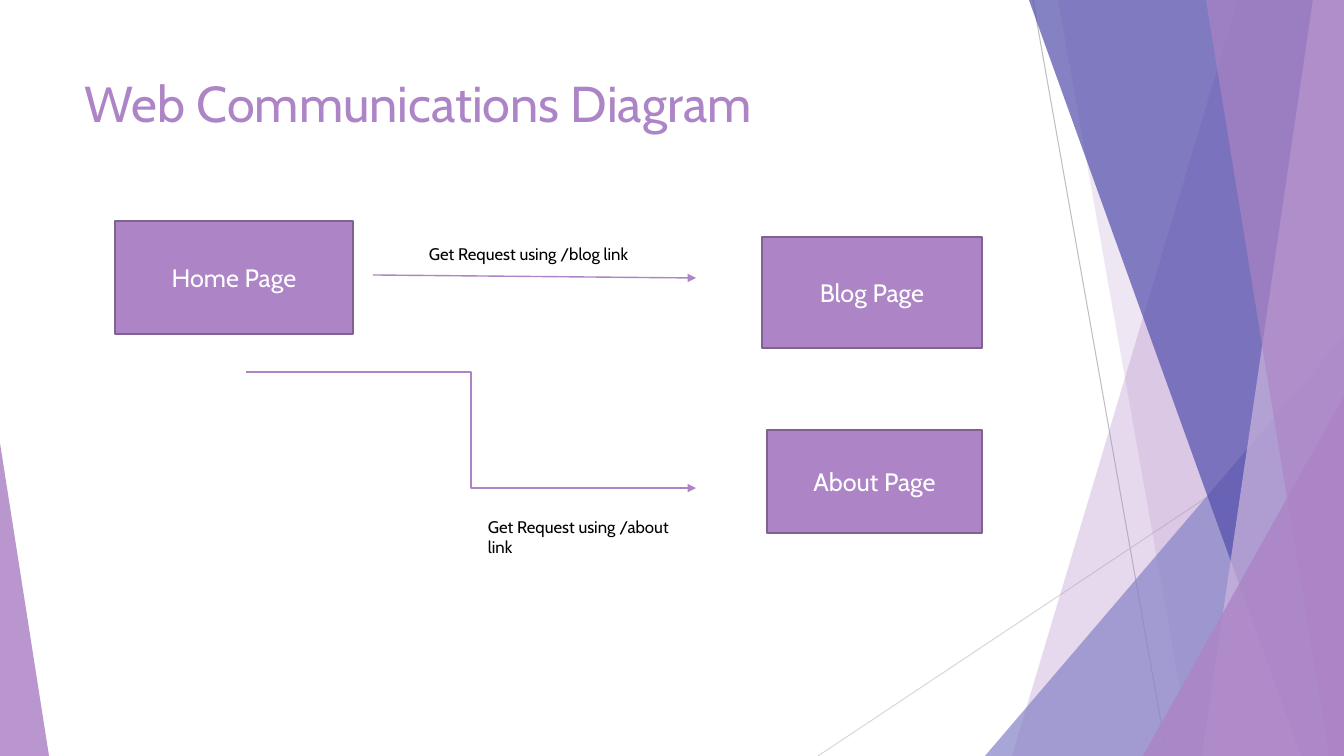
from dataclasses import dataclass

from lxml import etree
from pptx import Presentation
from pptx.dml.color import RGBColor
from pptx.enum.shapes import MSO_CONNECTOR, MSO_SHAPE
from pptx.enum.text import MSO_ANCHOR, PP_ALIGN
from pptx.oxml.ns import qn
from pptx.util import Emu, Pt

STRAIGHT, ELBOW = MSO_CONNECTOR.STRAIGHT, MSO_CONNECTOR.ELBOW
RECTANGLE, TRIANGLE = MSO_SHAPE.RECTANGLE, MSO_SHAPE.ISOSCELES_TRIANGLE
MIDDLE, TOP = MSO_ANCHOR.MIDDLE, MSO_ANCHOR.TOP
CENTER, LEFT = PP_ALIGN.CENTER, PP_ALIGN.LEFT

WIDTH, HEIGHT = 1344, 756
SCALE = 914400 / 100.8
FONT = "Cabin"
COLORS = {
    "purple": "AD84C6",
    "outline": "806292",
    "lilac": "CEB5DD",
    "periwinkle": "8784C7",
    "indigo": "524EAB",
    "gray": "BFBFBF",
    "light_gray": "D9D9D9",
    "white": "FFFFFF",
    "black": "000000",
}


@dataclass
class Band:
    top_left: int
    bottom_left: int
    color: str
    opacity: int


@dataclass
class Corner:
    left: int
    top: int
    width: int
    apex: float
    color: str
    opacity: int


@dataclass
class Link:
    start: tuple[int, int]
    end: tuple[int, int]
    color: str
    weight: float
    kind: int = STRAIGHT
    arrow: bool = False


@dataclass
class PageBox:
    name: str
    left: int
    top: int
    width: int
    height: int


@dataclass
class Caption:
    text: str
    left: int
    top: int
    width: int
    height: int
    size: int = 12
    color: str = "black"


def emu(pixels: int) -> Emu:
    return Emu(round(pixels * SCALE))


def rgb(name: str) -> RGBColor:
    return RGBColor.from_string(COLORS[name])


def paint_facet(shape, color: str, opacity: int) -> None:
    shape.shadow.inherit = False
    shape.line.fill.background()
    shape.fill.solid()
    shape.fill.fore_color.rgb = rgb(color)
    tint = shape._element.spPr.find(qn("a:solidFill"))[0]
    etree.SubElement(tint, qn("a:alpha"), val=str(opacity * 1000))


def draw_band(page, band: Band) -> None:
    outline = page.shapes.build_freeform(band.top_left, 0, scale=SCALE)
    outline.add_line_segments(
        [(WIDTH, 0), (WIDTH, HEIGHT), (band.bottom_left, HEIGHT)], close=True
    )
    paint_facet(outline.convert_to_shape(), band.color, band.opacity)


def draw_corner(page, corner: Corner) -> None:
    shape = page.shapes.add_shape(
        TRIANGLE, emu(corner.left), emu(corner.top),
        emu(corner.width), emu(HEIGHT - corner.top),
    )
    shape.adjustments[0] = corner.apex
    paint_facet(shape, corner.color, corner.opacity)


def draw_link(page, link: Link) -> None:
    connector = page.shapes.add_connector(
        link.kind, *(emu(value) for value in link.start + link.end)
    )
    connector.line.color.rgb = rgb(link.color)
    connector.line.width = Pt(link.weight)
    if link.arrow:
        etree.SubElement(connector.line._get_or_add_ln(), qn("a:tailEnd"), type="triangle")
    etree.SubElement(connector._element.spPr, qn("a:effectLst"))


def write_text(shape, text: str, size: int, color: str, align, anchor) -> None:
    frame = shape.text_frame
    frame.word_wrap = True
    frame.vertical_anchor = anchor
    para = frame.paragraphs[0]
    para.text = text
    para.alignment = align
    para.font.name = FONT
    para.font.size = Pt(size)
    para.font.color.rgb = rgb(color)


def draw_page_box(page, box: PageBox) -> None:
    shape = page.shapes.add_shape(
        RECTANGLE, emu(box.left), emu(box.top), emu(box.width), emu(box.height)
    )
    shape.shadow.inherit = False
    shape.fill.solid()
    shape.fill.fore_color.rgb = rgb("purple")
    shape.line.color.rgb = rgb("outline")
    shape.line.width = Pt(1.5)
    write_text(shape, box.name, 18, "white", CENTER, MIDDLE)


def draw_caption(page, caption: Caption) -> None:
    shape = page.shapes.add_textbox(
        emu(caption.left), emu(caption.top), emu(caption.width), emu(caption.height)
    )
    write_text(shape, caption.text, caption.size, caption.color, LEFT, TOP)


DRAW = {
    Band: draw_band,
    Corner: draw_corner,
    Link: draw_link,
    PageBox: draw_page_box,
    Caption: draw_caption,
}

BACKDROP = [
    Link((1033, 0), (1167, HEIGHT), "gray", 0.75),
    Link((WIDTH, 406), (818, HEIGHT), "light_gray", 0.75),
    Band(1238, 1012, "purple", 30),
    Band(1058, 1192, "purple", 20),
    Corner(985, 336, 359, 1, "periwinkle", 72),
    Band(1029, 1301, "indigo", 70),
    Band(1313, 1202, "lilac", 70),
    Band(1206, 1329, "purple", 65),
    Corner(1143, 396, 201, 1, "purple", 80),
    Corner(0, 443, 49, 0, "purple", 85),
]

DIAGRAM = [
    Caption("Web Communications Diagram", 75, 67, 948, 145, 36, "purple"),
    PageBox("Home Page", 115, 221, 238, 113),
    Link((373, 275), (696, 278), "purple", 1, arrow=True),
    Link((246, 372), (696, 488), "purple", 1, ELBOW, True),
    PageBox("Blog Page", 762, 237, 220, 111),
    PageBox("About Page", 767, 430, 215, 103),
    Caption("Get Request using /blog link", 419, 239, 259, 30),
    Caption("Get Request using /about link", 478, 512, 219, 50),
]

deck = Presentation()
deck.slide_width, deck.slide_height = emu(WIDTH), emu(HEIGHT)
page = deck.slides.add_slide(deck.slide_layouts[6])
for item in BACKDROP + DIAGRAM:
    DRAW[type(item)](page, item)
deck.save("out.pptx")
